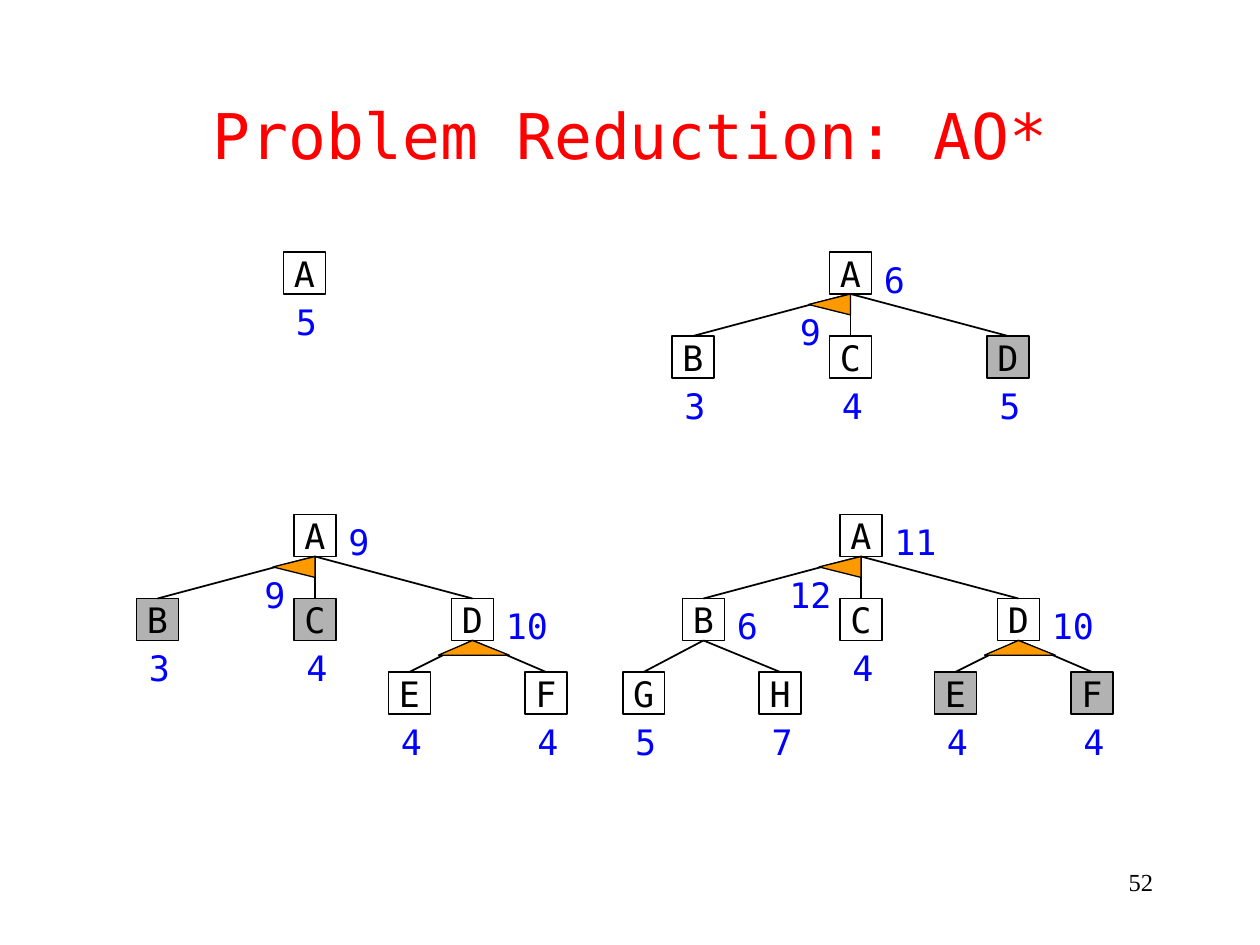
import pptx
import pptx.util
import pptx.dml.color
import pptx.enum.shapes
import pptx.enum.text
import pptx.oxml.ns
import lxml.etree

RGBColor = pptx.dml.color.RGBColor
BLACK = RGBColor(0x00, 0x00, 0x00)
RED = RGBColor(0xFF, 0x00, 0x00)
BLUE = RGBColor(0x00, 0x00, 0xFF)
GREY = RGBColor(0xB2, 0xB2, 0xB2)
ORANGE = RGBColor(0xFF, 0x99, 0x00)
MONO = "DejaVu Sans Mono"
SERIF = "Times New Roman"
ALIGN = pptx.enum.text.PP_ALIGN
ANCHOR = pptx.enum.text.MSO_ANCHOR

# Content: node = (name, parent, column offset from root, level, cost, cost side, shaded)
TITLE = "Problem Reduction: AO*"
PAGE_NUMBER = "52"
TREES = [
    {"root": (27, 24), "arcs": [], "and_cost": None,
     "nodes": [("A", None, 0, 0, "5", "below", False)]},
    {"root": (79, 24), "arcs": [("A", "left")], "and_cost": "9",
     "nodes": [("A", None, 0, 0, "6", "right", False),
               ("B", "A", -15, 1, "3", "below", False),
               ("C", "A", 0, 1, "4", "below", False),
               ("D", "A", 15, 1, "5", "below", True)]},
    {"root": (28, 49), "arcs": [("A", "left"), ("D", "wide")], "and_cost": "9",
     "nodes": [("A", None, 0, 0, "9", "right", False),
               ("B", "A", -15, 1, "3", "below", True),
               ("C", "A", 0, 1, "4", "below", True),
               ("D", "A", 15, 1, "10", "right", False),
               ("E", "D", 9, 2, "4", "below", False),
               ("F", "D", 22, 2, "4", "below", False)]},
    {"root": (80, 49), "arcs": [("A", "left"), ("D", "wide")], "and_cost": "12",
     "nodes": [("A", None, 0, 0, "11", "right", False),
               ("B", "A", -15, 1, "6", "right", False),
               ("C", "A", 0, 1, "4", "below", False),
               ("D", "A", 15, 1, "10", "right", False),
               ("G", "B", -20.7, 2, "5", "below", False),
               ("H", "B", -7.7, 2, "7", "below", False),
               ("E", "D", 9, 2, "4", "below", True),
               ("F", "D", 22, 2, "4", "below", True)]},
]

# Grid: the slide is 120 columns by 90 rows of square cells
NODE = 4
LEVEL_ROWS = (0, 8, 15)
COST_WIDTH = {1: 5, 2: 7}
COST_HEIGHT = 5.3
ARC_POINTS = {"left": [(-4, 1), (0, 2)], "wide": [(-3.25, 1.4), (3.5, 1.4)]}

presentation = pptx.Presentation()
presentation.slide_width = pptx.util.Inches(10)
presentation.slide_height = pptx.util.Inches(7.5)
CELL = presentation.slide_width / 120
slide = presentation.slides.add_slide(presentation.slide_layouts[5])


def cells(*counts):
    return [pptx.util.Emu(round(count * CELL)) for count in counts]


def format_text(shape, text, size, color, font=MONO, align=ALIGN.LEFT,
                anchor=ANCHOR.TOP, wrap=True):
    frame = shape.text_frame
    frame.text = text
    frame.word_wrap = wrap
    frame.vertical_anchor = anchor
    paragraph = frame.paragraphs[0]
    paragraph.alignment = align
    for run in paragraph.runs:
        run.font.size = pptx.util.Pt(size)
        run.font.name = font
        run.font.color.rgb = color


def outline(shape, width):
    shape.line.color.rgb = BLACK
    shape.line.width = pptx.util.Pt(width)


def add_node(name, column, row, shaded):
    node = slide.shapes.add_shape(pptx.enum.shapes.MSO_SHAPE.RECTANGLE,
                                  *cells(column, row, NODE, NODE))
    node.shadow.inherit = False
    if shaded:
        node.fill.solid()
        node.fill.fore_color.rgb = GREY
    else:
        node.fill.background()
    outline(node, 1)
    format_text(node, name, 20, BLACK, align=ALIGN.CENTER,
                anchor=ANCHOR.MIDDLE, wrap=False)
    return node


def add_cost(text, column, row):
    box = slide.shapes.add_textbox(
        *cells(column, row, COST_WIDTH[len(text)], COST_HEIGHT))
    format_text(box, text, 20, BLUE)


def add_edge(parent, child):
    edge = slide.shapes.add_connector(
        pptx.enum.shapes.MSO_CONNECTOR.STRAIGHT, 0, 0, 0, 0)
    edge.begin_connect(parent, 2)
    edge.end_connect(child, 0)
    outline(edge, 1)
    lxml.etree.SubElement(edge.element.spPr, pptx.oxml.ns.qn("a:effectLst"))


def add_arc(parent, kind):
    apex_x = parent.left + parent.width // 2
    apex_y = parent.top + parent.height
    builder = slide.shapes.build_freeform(apex_x, apex_y, scale=1.0)
    builder.add_line_segments(
        [(apex_x + round(dx * CELL), apex_y + round(dy * CELL))
         for dx, dy in ARC_POINTS[kind]], close=True)
    arc = builder.convert_to_shape()
    arc.shadow.inherit = False
    arc.fill.solid()
    arc.fill.fore_color.rgb = ORANGE
    outline(arc, 0.75)


# Title
title = slide.shapes.title
title.left, title.top, title.width, title.height = cells(9, 5.25, 102, 15)
format_text(title, TITLE, 36, RED, align=ALIGN.CENTER, anchor=ANCHOR.MIDDLE)

# Search trees
for tree in TREES:
    root_column, root_row = tree["root"]
    placed = {}
    for name, parent, offset, level, cost, side, shaded in tree["nodes"]:
        column = root_column + offset
        row = root_row + LEVEL_ROWS[level]
        placed[name] = add_node(name, column, row, shaded)
        if parent:
            add_edge(placed[parent], placed[name])
        if side == "right":
            add_cost(cost, column + NODE, row)
        else:
            add_cost(cost, column, row + NODE)
    for parent, kind in tree["arcs"]:
        add_arc(placed[parent], kind)
    if tree["and_cost"]:
        width = COST_WIDTH[len(tree["and_cost"])]
        add_cost(tree["and_cost"], root_column + 1 - width, root_row + 5)

# Page number
number_box = slide.shapes.add_textbox(*cells(86, 82, 25, 6))
format_text(number_box, PAGE_NUMBER, 14, BLACK, font=SERIF, align=ALIGN.RIGHT)

presentation.save("out.pptx")
